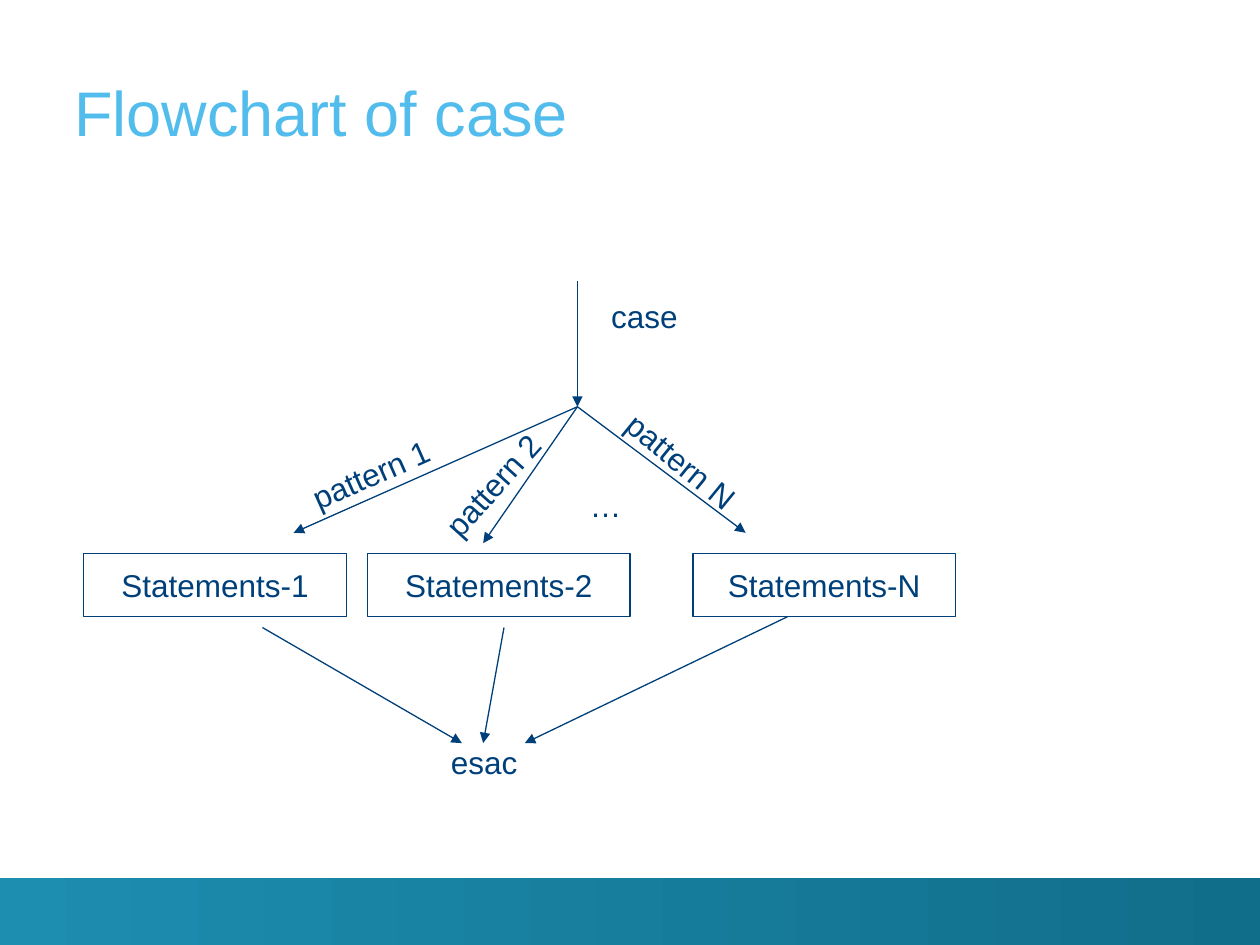
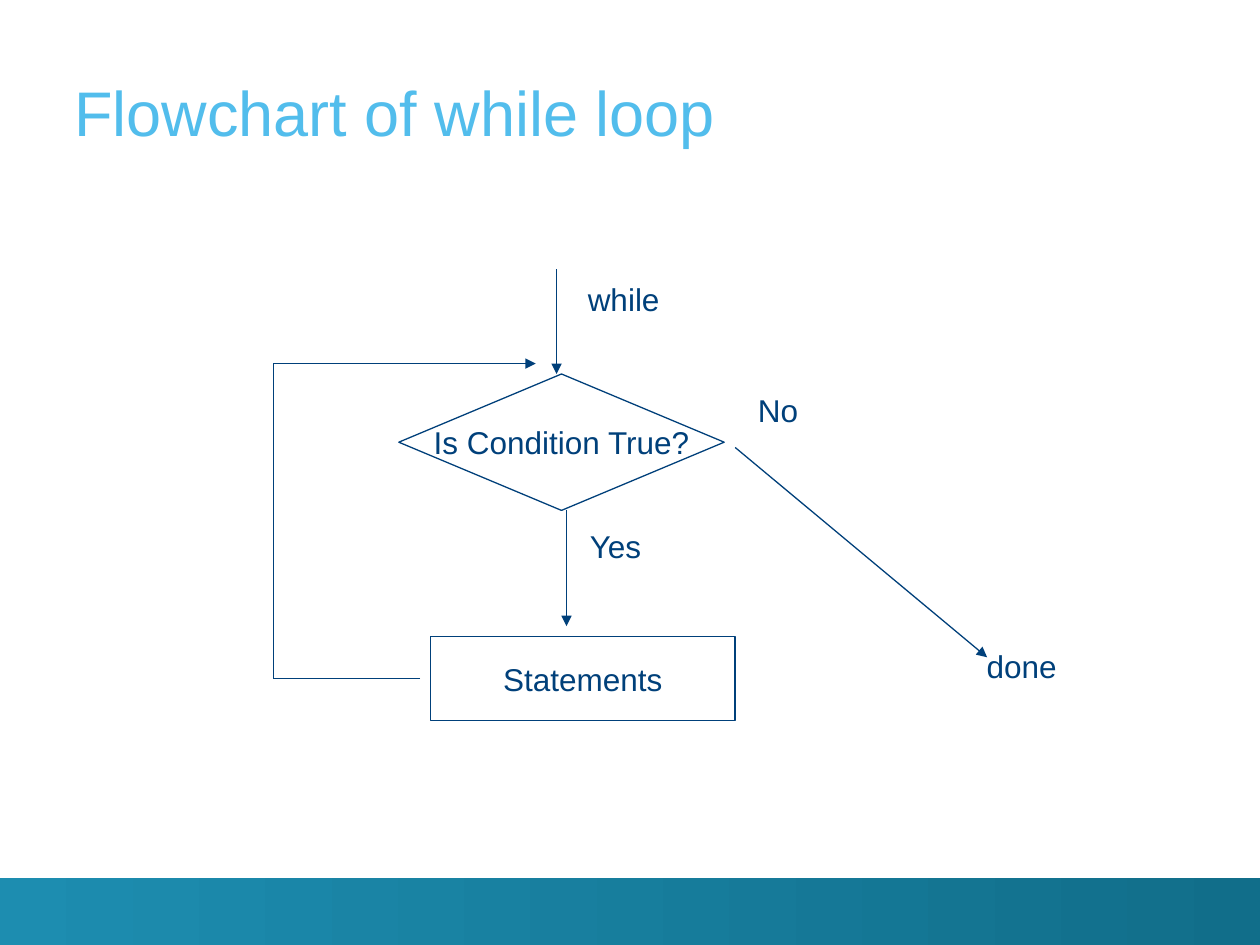
import itertools

import lxml.etree
import pptx
import pptx.dml.color
import pptx.enum.shapes
import pptx.enum.text
import pptx.oxml.ns
import pptx.util

Cm, Pt = pptx.util.Cm, pptx.util.Pt
RGBColor = pptx.dml.color.RGBColor
MSO_SHAPE = pptx.enum.shapes.MSO_SHAPE
PP_ALIGN, MSO_ANCHOR = pptx.enum.text.PP_ALIGN, pptx.enum.text.MSO_ANCHOR
qn = pptx.oxml.ns.qn

NAVY = RGBColor(0x00, 0x40, 0x7A)
SKY = RGBColor(0x52, 0xBD, 0xEC)
BAND_COLORS = (RGBColor(0x1D, 0x8D, 0xB0), RGBColor(0x11, 0x6E, 0x8A))

TITLE_FONT = {"name": "Arial", "size": Pt(36)}
BODY_FONT = {"name": "Arial", "size": Pt(18)}
TITLE_FRAME = {
    "word_wrap": True, "auto_size": pptx.enum.text.MSO_AUTO_SIZE.NONE,
    "vertical_anchor": MSO_ANCHOR.BOTTOM,
    "margin_left": 0, "margin_right": 0, "margin_top": 0, "margin_bottom": 0,
}
LABEL_FRAME = {"word_wrap": True, "vertical_anchor": MSO_ANCHOR.TOP}
NODE_FRAME = {"word_wrap": False, "vertical_anchor": MSO_ANCHOR.MIDDLE}
PATTERN_FRAME = {"word_wrap": True, "vertical_anchor": MSO_ANCHOR.MIDDLE}

# All places are in centimetres.
SLIDE_SIZE = (25.4, 19.05)
TITLE_BOX = (1.5, 0.5, 23.14, 2.5)
BAND_BOX = (0, 17.7, 25.4, 1.35)
LABEL_HEIGHT = 1.27
PATTERN_WIDTH = 3.6

# case: one branch per pattern
BRANCH_POINT = (11.64, 8.2)
STATEMENT_TOP, STATEMENT_WIDTH, STATEMENT_HEIGHT = 11.16, 5.29, 1.27
ESAC_ARROW_Y = 14.98
# suffix, box left, branch arrow end, exit arrow start, exit arrow end x,
# pattern label left and top, label rotation
BRANCHES = [
    ("1", 1.69, (5.92, 10.74), (5.29, 12.65), 9.31, (5.67, 8.92), 336.1),
    ("2", 7.41, (9.74, 10.95), (10.16, 12.65), 9.74, (8.13, 9.14), 311.9),
    ("N", 13.97, (15.03, 10.74), (15.88, 12.43), 10.58, (11.94, 8.66), 39.3),
]
CASE_ENTRY = [(11.64, 5.66), BRANCH_POINT]
# text, left, top, width
CASE_LABELS = [
    ("case", 12.07, 5.87, 2.18),
    ("…", 11.64, 9.68, 1.2),
    ("esac", 8.84, 14.86, 2.18),
]

# while: a condition, its body and the way back
WHILE_NODES = [
    ("Is Condition True?", MSO_SHAPE.FLOWCHART_DECISION, (8.04, 7.54, 6.56, 2.75)),
    ("Statements", MSO_SHAPE.RECTANGLE, (8.68, 12.83, 6.14, 1.7)),
]
WHILE_ROUTES = [
    [(11.22, 5.43), (11.22, 7.54)],
    [(11.42, 10.29), (11.42, 12.62)],
    [(8.47, 13.68), (5.51, 13.68), (5.51, 7.33), (10.8, 7.33)],
    [(14.82, 9.02), (19.9, 13.25)],
]
WHILE_LABELS = [
    ("while", 11.6, 5.52, 2.44),
    ("Yes", 11.64, 10.5, 1.83),
    ("No", 15.03, 7.75, 1.52),
    ("done", 19.64, 12.92, 2.36),
]


def to_cm(values):
    return [Cm(value) for value in values]


def set_attributes(target, values):
    for name, value in values.items():
        setattr(target, name, value)


def write_text(shape, text, frame_format, font_format, color, alignment):
    set_attributes(shape.text_frame, frame_format)
    shape.text_frame.text = text
    paragraph = shape.text_frame.paragraphs[0]
    paragraph.alignment = alignment
    set_attributes(paragraph.runs[0].font, font_format)
    paragraph.runs[0].font.color.rgb = color


def add_label(slide, text, left, top, width):
    label = slide.shapes.add_textbox(*to_cm((left, top, width, LABEL_HEIGHT)))
    write_text(label, text, LABEL_FRAME, BODY_FONT, NAVY, PP_ALIGN.LEFT)


def add_node(slide, text, kind, box):
    node = slide.shapes.add_shape(kind, *to_cm(box))
    node.shadow.inherit = False
    node.fill.background()
    node.line.color.rgb = NAVY
    node.line.width = Pt(0.75)
    write_text(node, text, NODE_FRAME, BODY_FONT, NAVY, PP_ALIGN.CENTER)


def add_pattern(slide, text, corner, rotation):
    pattern = slide.shapes.add_textbox(*to_cm((*corner, PATTERN_WIDTH, LABEL_HEIGHT)))
    pattern.rotation = rotation
    write_text(pattern, text, PATTERN_FRAME, BODY_FONT, NAVY, PP_ALIGN.CENTER)


def add_route(slide, points):
    """Join the points with straight lines; the last one gets an arrowhead."""
    for start, end in itertools.pairwise(points):
        connector = slide.shapes.add_connector(
            pptx.enum.shapes.MSO_CONNECTOR.STRAIGHT, *to_cm((*start, *end)))
        connector.line.color.rgb = NAVY
        connector.line.width = Pt(0.75)
        properties = connector.element.spPr
        lxml.etree.SubElement(properties, qn("a:effectLst"))
    lxml.etree.SubElement(properties.find(qn("a:ln")), qn("a:tailEnd"), type="triangle")


def add_band_to_layout(slide, layout):
    """Draw the footer band on a slide, then move it to the shared layout."""
    band = slide.shapes.add_shape(MSO_SHAPE.RECTANGLE, *to_cm(BAND_BOX))
    band.shadow.inherit = False
    band.line.fill.background()
    band.fill.gradient()
    band.fill.gradient_angle = 0
    for stop, color in zip(band.fill.gradient_stops, BAND_COLORS):
        stop.color.rgb = color
    layout.shapes.element.append(band.element)


def add_titled_slide(presentation, layout, text):
    slide = presentation.slides.add_slide(layout)
    title = slide.shapes.title
    title.left, title.top, title.width, title.height = to_cm(TITLE_BOX)
    write_text(title, text, TITLE_FRAME, TITLE_FONT, SKY, PP_ALIGN.LEFT)
    return slide


def draw_case(slide):
    add_route(slide, CASE_ENTRY)
    for suffix, left, branch_end, exit_start, exit_x, corner, rotation in BRANCHES:
        add_node(slide, f"Statements-{suffix}", MSO_SHAPE.RECTANGLE,
                 (left, STATEMENT_TOP, STATEMENT_WIDTH, STATEMENT_HEIGHT))
        add_route(slide, [BRANCH_POINT, branch_end])
        add_route(slide, [exit_start, (exit_x, ESAC_ARROW_Y)])
        add_pattern(slide, f"pattern {suffix}", corner, rotation)
    for label in CASE_LABELS:
        add_label(slide, *label)


def draw_while(slide):
    for node in WHILE_NODES:
        add_node(slide, *node)
    for route in WHILE_ROUTES:
        add_route(slide, route)
    for label in WHILE_LABELS:
        add_label(slide, *label)


def main():
    presentation = pptx.Presentation()
    presentation.slide_width, presentation.slide_height = to_cm(SLIDE_SIZE)
    layout = presentation.slide_layouts.get_by_name("Title Only")

    case_slide = add_titled_slide(presentation, layout, "Flowchart of case")
    add_band_to_layout(case_slide, layout)
    draw_case(case_slide)
    draw_while(add_titled_slide(presentation, layout, "Flowchart of while loop"))

    presentation.save("out.pptx")


if __name__ == "__main__":
    main()
